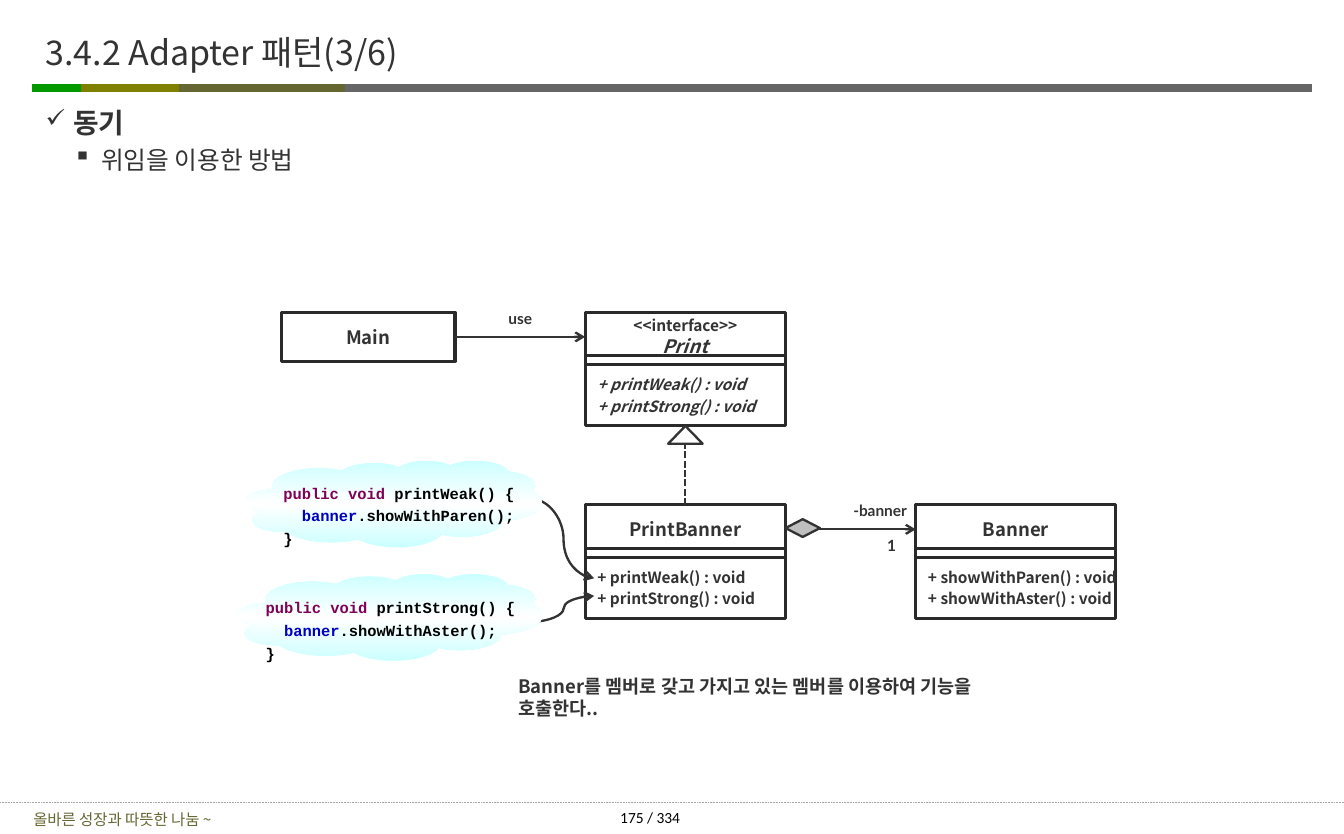
import copy
import dataclasses

import lxml.etree
import pptx
import pptx.dml.color
import pptx.enum.dml
import pptx.enum.shapes
import pptx.enum.text
import pptx.oxml.ns
import pptx.util

Pt = pptx.util.Pt
Kind = pptx.enum.shapes.MSO_SHAPE
Link = pptx.enum.shapes.MSO_CONNECTOR
Dash = pptx.enum.dml.MSO_LINE
Align = pptx.enum.text.PP_ALIGN
Anchor = pptx.enum.text.MSO_ANCHOR
Fit = pptx.enum.text.MSO_AUTO_SIZE
qn = pptx.oxml.ns.qn


@dataclasses.dataclass(frozen=True)
class Theme:
    ink: str = "333333"
    edge: str = "2A2A2A"
    paper: str = "FFFFFF"
    black: str = "000000"
    gray: str = "666666"
    green: str = "009900"
    olive: str = "808000"
    moss: str = "666633"
    rule: str = "A6A6A6"
    gem: str = "BFBFBF"
    sky: str = "CCFFFF"
    word: str = "7F0055"
    field: str = "0000C0"
    sans: str = "Noto Sans CJK KR"
    label: str = "Lato"
    code: str = "Courier New"
    foot: str = "Calibri"
    title: int = 22
    head: int = 18
    sub: int = 16
    name: int = 12
    small: int = 10


def rgb(tint):
    return pptx.dml.color.RGBColor.from_string(tint)


def adorn(target, vals):
    for key, val in vals.items():
        setattr(target, key, val)


def add_tag(home, tag, **vals):
    return lxml.etree.SubElement(home, qn(tag), **vals)


class Sheet:
    def __init__(self, theme, slide):
        self.theme, self.slide = theme, slide

    def font(self, size, face=None, tint=None, **more):
        """Format values for a run of text."""
        look = self.theme
        return dict(size=size, name=face or look.sans, tint=tint or look.ink, **more)

    def put(self, frame, paras, align=Align.LEFT, gap=2, hang=0):
        """Fill a frame; each paragraph is a list of (text, font) runs."""
        for i, runs in enumerate(paras):
            para = frame.add_paragraph() if i else frame.paragraphs[0]
            adorn(para, dict(alignment=align, space_before=Pt(gap if i else 0)))
            if hang:
                props = para._p.get_or_add_pPr()
                props.set("marL", str(Pt(hang)))
                props.set("indent", str(Pt(-hang)))
            for text, font in runs:
                if text == "\n":
                    para.add_line_break()
                    continue
                run = para.add_run()
                run.text = text
                vals = dict(font, size=Pt(font["size"]))
                run.font.color.rgb = rgb(vals.pop("tint"))
                adorn(run.font, vals)
                add_tag(run._r.get_or_add_rPr(), "a:ea", typeface=font["name"])

    def text(self, area, paras, inset=(7.2, 3.6), wrap=True, anchor=Anchor.TOP,
             fit=Fit.SHAPE_TO_FIT_TEXT, **style):
        frame = self.slide.shapes.add_textbox(*map(Pt, area)).text_frame
        side, top = map(Pt, inset)
        adorn(frame, dict(word_wrap=wrap, auto_size=fit, vertical_anchor=anchor,
                          margin_left=side, margin_right=side,
                          margin_top=top, margin_bottom=top))
        self.put(frame, paras, **style)
        return frame

    def shape(self, kind, area, fill, edge, width):
        item = self.slide.shapes.add_shape(kind, *map(Pt, area))
        item.shadow.inherit = False
        item.fill.solid()
        item.fill.fore_color.rgb = rgb(fill)
        item.line.color.rgb = rgb(edge)
        item.line.width = Pt(width)
        return item

    def box(self, area, paras=(), **style):
        item = self.shape(Kind.RECTANGLE, area, self.theme.paper, self.theme.edge, 2)
        adorn(item.text_frame, dict(
            word_wrap=False, vertical_anchor=Anchor.MIDDLE,
            margin_left=Pt(7.9), margin_right=Pt(7.9)))
        self.put(item.text_frame, paras, **style)
        return item

    def unit(self, left, top, title, rows, **slant):
        """A class box: name, thin strip, then its methods."""
        wide = 129.6
        head = self.box((left, top, wide, 31.7), [title], align=Align.CENTER)
        self.box((left, top + 28, wide, 6.3))
        font = self.font(self.theme.small, bold=True, **slant)
        body = self.box((left, top + 33.9, wide, 39.6),
                        [[("+ " + row + "() : void", font)] for row in rows], hang=28)
        return head, body

    def line(self, ends, tint, width, kind=Link.STRAIGHT, dash=None, arrow=False):
        item = self.slide.shapes.add_connector(kind, *map(Pt, ends))
        item.line.color.rgb = rgb(tint)
        adorn(item.line, dict(width=Pt(width), dash_style=dash))
        if arrow:
            add_tag(item._element.spPr.get_or_add_ln(), "a:tailEnd", type="arrow")
        add_tag(item._element.spPr, "a:effectLst")
        return item

    def join(self, start, side, goal, entry, **style):
        item = self.line((0, 0, 0, 0), self.theme.ink, 1.5, **style)
        item.begin_connect(start, side)
        item.end_connect(goal, entry)

    def cloud(self, area, spot, name, call):
        look = self.theme
        item = self.shape(Kind.CLOUD, area, look.sky, look.sky, 1)
        item.line.fill.background()
        item.fill.gradient()
        item.fill.gradient_angle = 90
        stops = item._element.spPr.find(".//" + qn("a:gsLst"))
        stops.append(copy.deepcopy(stops[0]))
        tints = (look.sky, look.paper, look.sky)
        for i, (stop, tint) in enumerate(zip(item.fill.gradient_stops, tints)):
            stop.position = i / 2
            stop.color.rgb = rgb(tint)
        plain, key, field = (self.font(look.small, look.code, tint, bold=True)
                             for tint in (look.black, look.word, look.field))
        self.text(spot, [[("public void ", key), (name + "() {", plain)],
                         [("  banner", field), ("." + call + "();", plain)],
                         [("}", plain)]], gap=2.8)


def main():
    deck = pptx.Presentation()
    adorn(deck, dict(slide_width=Pt(869.76), slide_height=Pt(540)))
    look = Theme()
    page = Sheet(look, deck.slides.add_slide(deck.slide_layouts[6]))

    # Title bar and footer
    for start, end, tint in ((214.5, 849, look.gray), (21, 78.5, look.green),
                             (52.5, 119.5, look.olive), (116, 223, look.moss)):
        page.line((start, 57, end, 57), tint, 5)
    page.line((0, 519.8, 869.76, 519.8), look.rule, 0.5, dash=Dash.ROUND_DOT)
    page.text((0, 521.3, 158.4, 18.7),
              [[("올바른 성장과 따뜻한 나눔 ~", page.font(look.small, tint=look.moss))]],
              anchor=Anchor.MIDDLE, fit=Fit.NONE, align=Align.CENTER)
    page.text((398.5, 519.8, 68, 19.4),
              [[("175 / 334", page.font(look.small, look.foot, look.black))]],
              inset=(2.9, 3.6))
    page.text((26.6, 10.8, 720, 45.4),
              [[("3.4.2 Adapter 패턴(3/6)", page.font(look.title))]],
              inset=(2.9, 2.9), anchor=Anchor.MIDDLE, fit=Fit.NONE)

    # Bullets
    frame = page.text((26.6, 65.5, 828, 88.6),
                      [[("동기", page.font(look.head, bold=True))],
                       [("위임을 이용한 방법", page.font(look.sub))]],
                      inset=(2.9, 2.9), gap=3.5)
    for level, (para, mark) in enumerate(zip(frame.paragraphs, "✓▪")):
        para.level = level
        props = para._p.get_or_add_pPr()
        props.set("marL", str(Pt(18 * (level + 1))))
        props.set("indent", str(Pt(-18)))
        add_tag(add_tag(props, "a:buClr"), "a:srgbClr", val=look.ink)
        add_tag(props, "a:buSzPct", val="100000" if level else "90000")
        add_tag(props, "a:buChar", char=mark)

    # Class boxes
    mid, right, upper, lower = 378.7, 592.6, 202.3, 326.9
    bold = page.font(look.name, bold=True)
    small = page.font(look.small, bold=True)
    client = page.box((182.2, upper, 112.3, 31.7), [[("Main", bold)]], align=Align.CENTER)
    face, face_body = page.unit(
        mid, upper, [("<<interface>>", small), ("\n", small), ("Print", dict(bold, italic=True))],
        ("printWeak", "printStrong"), italic=True)
    banner, _ = page.unit(right, lower, [("Banner", bold)],
                          ("showWithParen", "showWithAster"))
    child, _ = page.unit(mid, lower, [("PrintBanner", bold)],
                         ("printWeak", "printStrong"))

    # Links between the classes
    page.join(client, 3, face, 1, arrow=True)
    page.join(child, 0, face_body, 2, dash=Dash.SQUARE_DOT)
    page.join(child, 3, banner, 1, arrow=True)
    page.shape(Kind.ISOSCELES_TRIANGLE, (432.4, 275.8, 22.3, 11.5), look.paper, look.ink, 1.5)
    page.shape(Kind.DIAMOND, (508.3, 336.2, 22.3, 11.5), look.gem, look.ink, 1.5)
    for start, end in ((323.3, 374.4), (402.5, 385.9)):
        page.line((344.9, start, 384.5, end), look.ink, 1.5, kind=Link.CURVE, arrow=True)

    # Labels and caption
    tag = page.font(look.small, look.label, bold=True)
    for left, top, wide, text in ((320.4, 196.6, 32.4, "use"), (542.2, 321.1, 54.7, "-banner"),
                                  (566.6, 343.4, 20.9, "1")):
        page.text((left, top, wide, 19.4), [[(text, tag)]], wrap=False, align=Align.CENTER)
    page.text((328.3, 433.4, 337.7, 21.6),
              [[("Banner를 멤버로 갖고 가지고 있는 멤버를 이용하여 기능을 호출한다..", bold)]])

    # Code clouds
    page.cloud((159.1, 298.1, 191.5, 56.2), (176.4, 309.6, 168.5, 48.2),
               "printWeak", "showWithParen")
    page.cloud((154.1, 371.5, 196.6, 56.2), (164.9, 383.8, 180, 48.2),
               "printStrong", "showWithAster")

    deck.save("out.pptx")


if __name__ == "__main__":
    main()
